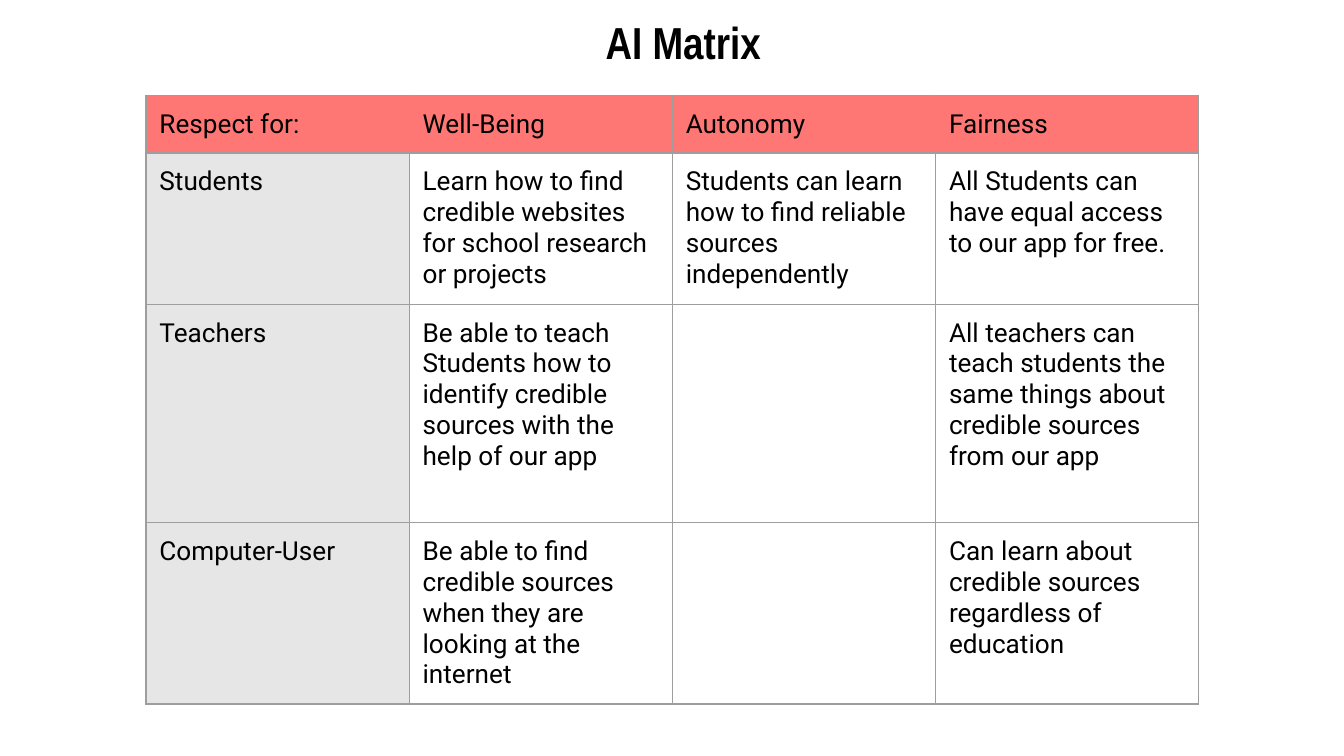
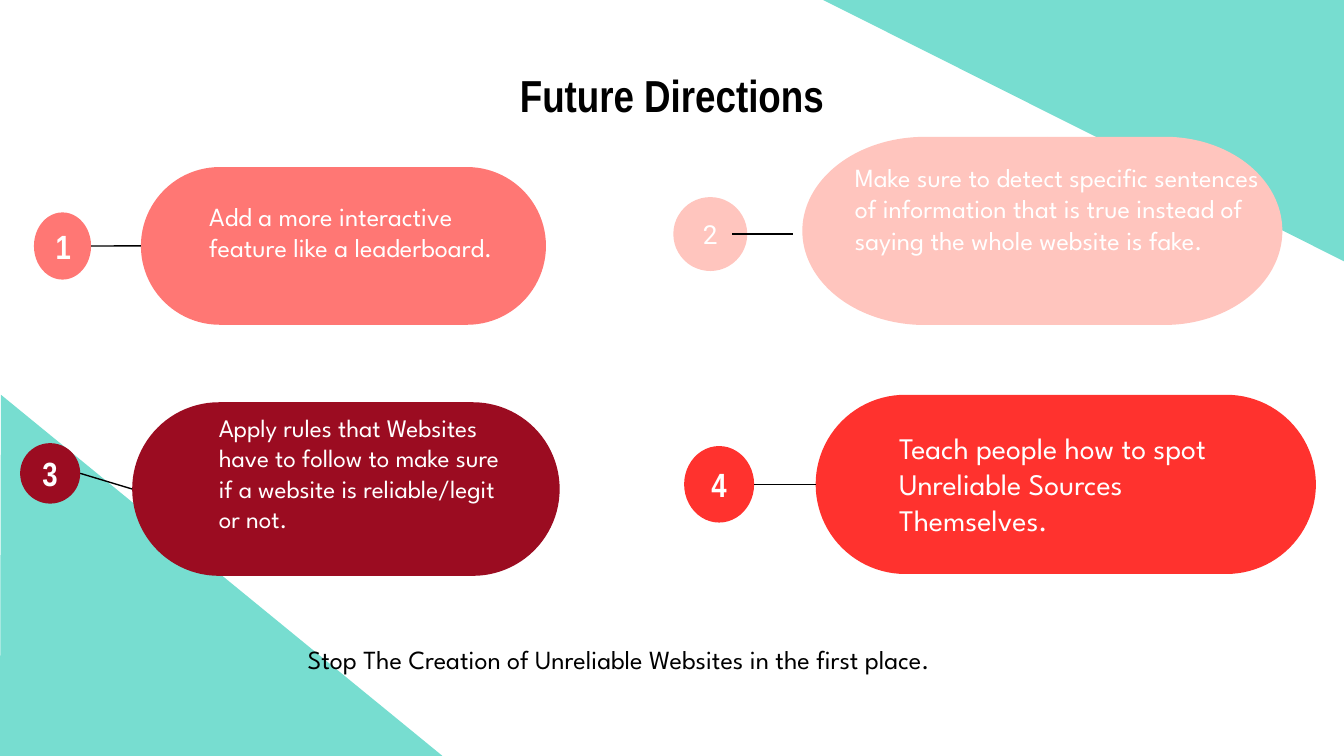
from lxml import etree
from pptx import Presentation
from pptx.dml.color import RGBColor
from pptx.enum.shapes import MSO_CONNECTOR, MSO_SHAPE
from pptx.enum.text import MSO_ANCHOR, MSO_AUTO_SIZE, PP_ALIGN
from pptx.oxml.ns import qn
from pptx.util import Pt

LINE = MSO_CONNECTOR.STRAIGHT
PILL, CIRCLE, DELAY = MSO_SHAPE.ROUNDED_RECTANGLE, MSO_SHAPE.OVAL, MSO_SHAPE.FLOWCHART_DELAY
MIDDLE, TOP = MSO_ANCHOR.MIDDLE, MSO_ANCHOR.TOP
LEFT, CENTER = PP_ALIGN.LEFT, PP_ALIGN.CENTER
FIXED_SIZE = MSO_AUTO_SIZE.NONE

COLORS = {
    "black": "000000", "white": "FFFFFF", "border": "9E9E9E", "label": "E6E6E6",
    "teal": "77DDD0", "coral": "FF7774", "pink": "FFC5BE", "wine": "9B0C21", "red": "FF322E",
}
TITLE_FONT, BODY_FONT, TABLE_FONT = "Arial Narrow", "League Spartan", "Roboto"
INSET = 7.2
TITLE_ONLY = 5


def write(frame, text, font, size, color, bold=False, align=LEFT, anchor=TOP, indent=0):
    frame.word_wrap = True
    frame.auto_size = FIXED_SIZE
    frame.vertical_anchor = anchor
    frame.margin_left = Pt(INSET + indent)
    frame.margin_top = frame.margin_right = frame.margin_bottom = Pt(INSET)
    frame.text = text
    paragraph = frame.paragraphs[0]
    paragraph.alignment = align
    paragraph.font.name = font
    paragraph.font.size = Pt(size)
    paragraph.font.bold = bold
    paragraph.font.color.rgb = RGBColor.from_string(COLORS[color])


def paint(shape, color):
    """Give a shape a flat fill without outline or shadow."""
    shape.shadow.inherit = False
    shape.fill.solid()
    shape.fill.fore_color.rgb = RGBColor.from_string(COLORS[color])
    shape.line.fill.background()


presentation = Presentation()
presentation.slide_width, presentation.slide_height = Pt(720), Pt(405)

slides = []
for title, left, top in [("AI Matrix", 42, 0), ("Future Directions", 36, 28)]:
    slide = presentation.slides.add_slide(presentation.slide_layouts[TITLE_ONLY])
    heading = slide.shapes.title
    heading.left, heading.top, heading.width, heading.height = Pt(left), Pt(top), Pt(648), Pt(45)
    write(heading.text_frame, title, TITLE_FONT, 24, "black", True, CENTER, MIDDLE)
    slides.append(slide)
matrix_slide, directions_slide = slides

# AI Matrix
matrix = [
    ["Respect for:", "Well-Being", "Autonomy", "Fairness"],
    ["Students",
     "Learn how to find credible websites for school research or projects",
     "Students can learn how to find reliable sources independently",
     "All Students can have equal access to our app for free."],
    ["Teachers",
     "Be able to teach Students how to identify credible sources with the help of our app",
     "",
     "All teachers can teach students the same things about credible sources from our app"],
    ["Computer-User",
     "Be able to find credible sources when they are looking at the internet",
     "",
     "Can learn about credible sources regardless of education"],
]
row_heights = [30.5, 81, 117, 79]
column_width = 141
table = matrix_slide.shapes.add_table(
    len(matrix), len(matrix[0]), Pt(78.2), Pt(51),
    Pt(column_width * len(matrix[0])), Pt(sum(row_heights))).table
table.first_row = table.horz_banding = False
for column in table.columns:
    column.width = Pt(column_width)

for row, texts in enumerate(matrix):
    table.rows[row].height = Pt(row_heights[row])
    for column, text in enumerate(texts):
        cell = table.cell(row, column)
        # The header cells join in pairs, so their shared edge takes the fill colour.
        joined_edge = ("lnR" if column % 2 == 0 else "lnL") if row == 0 else None
        properties = cell._tc.get_or_add_tcPr()
        for edge in ("lnL", "lnR", "lnT", "lnB"):
            border = etree.SubElement(properties, qn(f"a:{edge}"), w=str(Pt(0.75)))
            fill = etree.SubElement(border, qn("a:solidFill"))
            edge_color = "coral" if edge == joined_edge else "border"
            etree.SubElement(fill, qn("a:srgbClr"), val=COLORS[edge_color])
        if row == 0 or column == 0:
            cell.fill.solid()
            cell.fill.fore_color.rgb = RGBColor.from_string(COLORS["coral" if row == 0 else "label"])
        else:
            cell.fill.background()
        cell.margin_left = cell.margin_top = cell.margin_right = cell.margin_bottom = Pt(INSET)
        cell.text = text
        font = cell.text_frame.paragraphs[0].font
        font.name, font.size = TABLE_FONT, Pt(14)
        font.color.rgb = RGBColor.from_string(COLORS["black"])

# Future Directions
shapes = directions_slide.shapes
corners = [
    [(237, 405), (0, 405), (0.5, 211.5)],
    [(441, 0), (720, 0), (720, 140)],
]
for start, *others in corners:
    builder = shapes.build_freeform(Pt(start[0]), Pt(start[1]))
    builder.add_line_segments([(Pt(x), Pt(y)) for x, y in others])
    paint(builder.convert_to_shape(), "teal")

connectors = []
# number, colour, pill box, badge box
steps = [
    ("1", "coral", (75.5, 89.5, 217, 84.5), (18.2, 113.8, 30.6, 36)),
    ("4", "red", (437, 211.5, 268, 96), (366.5, 239, 37.5, 41)),
    ("3", "wine", (70.8, 215.5, 229, 93), (10.8, 237.4, 32.2, 32.4)),
]
for number, color, pill_box, badge_box in steps:
    group = directions_slide.shapes.add_group_shape().shapes
    pill = group.add_shape(PILL, *map(Pt, pill_box))
    pill.adjustments[0] = 0.5
    badge = group.add_shape(CIRCLE, *map(Pt, badge_box))
    paint(pill, color)
    paint(badge, color)
    write(badge.text_frame, number, TITLE_FONT, 18, "white", True, CENTER, MIDDLE)
    connectors.append(group.add_connector(
        LINE, badge.left + badge.width, badge.top + badge.height // 2,
        pill.left, pill.top + pill.height // 2))

# The second step is a wide pill made of two mirrored halves.
for left, width, rotation in [(561, 126, 0), (429.8, 131.2, 180)]:
    half = shapes.add_shape(DELAY, Pt(left), Pt(73.3), Pt(width), Pt(100.8))
    half.rotation = rotation
    paint(half, "pink")
badge = shapes.add_shape(CIRCLE, Pt(360.7), Pt(105.6), Pt(39.6), Pt(39.6))
paint(badge, "pink")
write(badge.text_frame, "2", TABLE_FONT, 14, "white", align=CENTER, anchor=MIDDLE)
connectors.append(shapes.add_connector(LINE, Pt(424.8), Pt(125.4), Pt(392.4), Pt(125.4)))

for connector in connectors:
    connector.line.color.rgb = RGBColor.from_string(COLORS["black"])
    connector.line.width = Pt(0.75)
    etree.SubElement(connector._element.spPr, qn("a:effectLst"))

# text, box, size, colour, indent
captions = [
    ("Add a more interactive feature like a leaderboard.", (105, 100, 187, 51), 14, "white", 0),
    ("Make sure to detect specific sentences of information that is true instead of "
     "saying the whole website is fake.", (414.8, 79.2, 271.4, 121), 14, "white", 36),
    ("Apply rules that Websites have to follow to make sure if a website is "
     "reliable/legit or not.", (74, 213.8, 204, 96.5), 13.5, "white", 36),
    ("Teach people how to spot Unreliable Sources Themselves.",
     (438.5, 223.2, 239.8, 72.7), 16, "white", 36),
    ("Stop The Creation of Unreliable Websites in the first place.",
     (157.7, 337.7, 445.7, 31.7), 14, "black", 0),
]
for text, box, size, color, indent in captions:
    caption = shapes.add_textbox(*map(Pt, box))
    write(caption.text_frame, text, BODY_FONT, size, color, indent=indent)

presentation.save("out.pptx")
